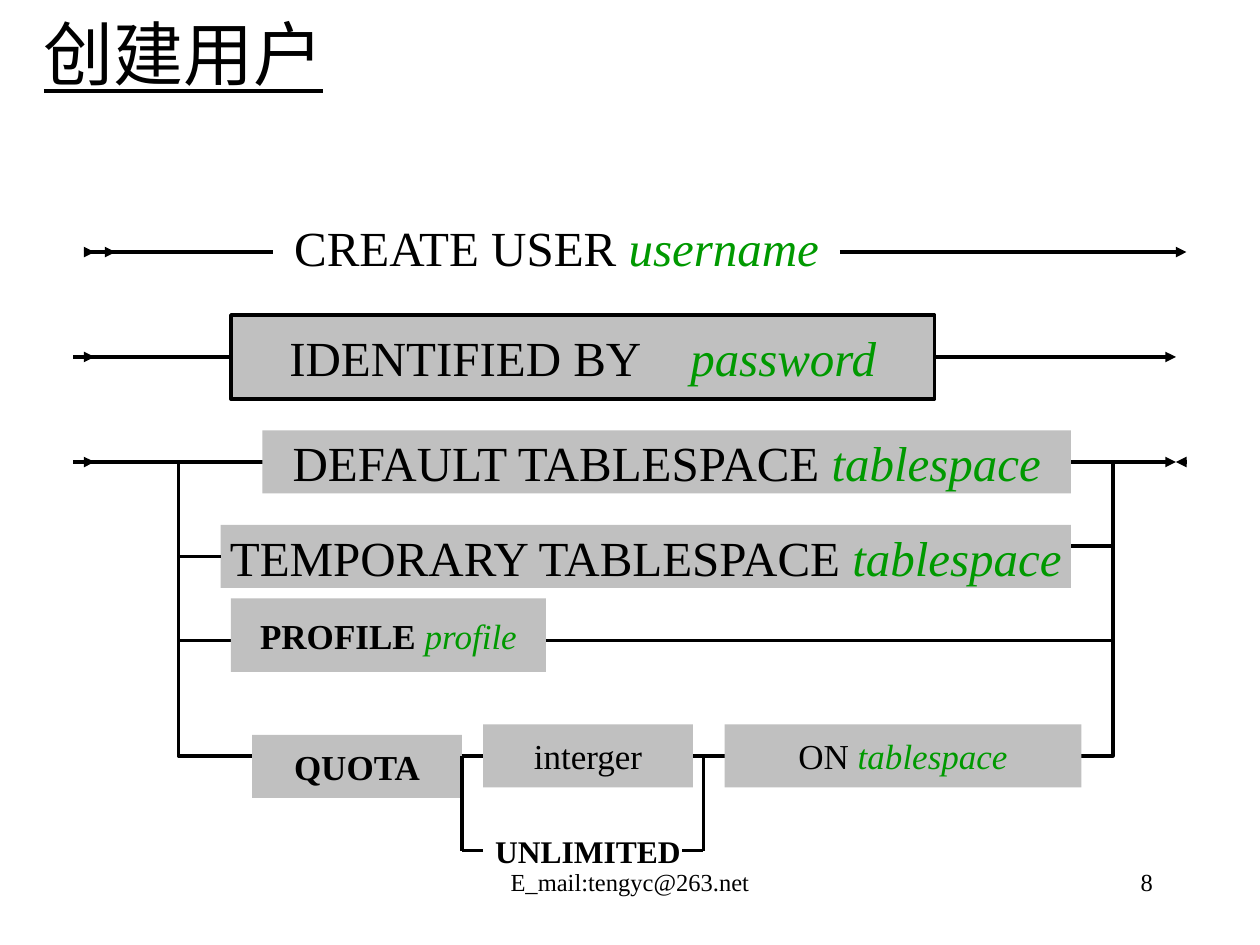
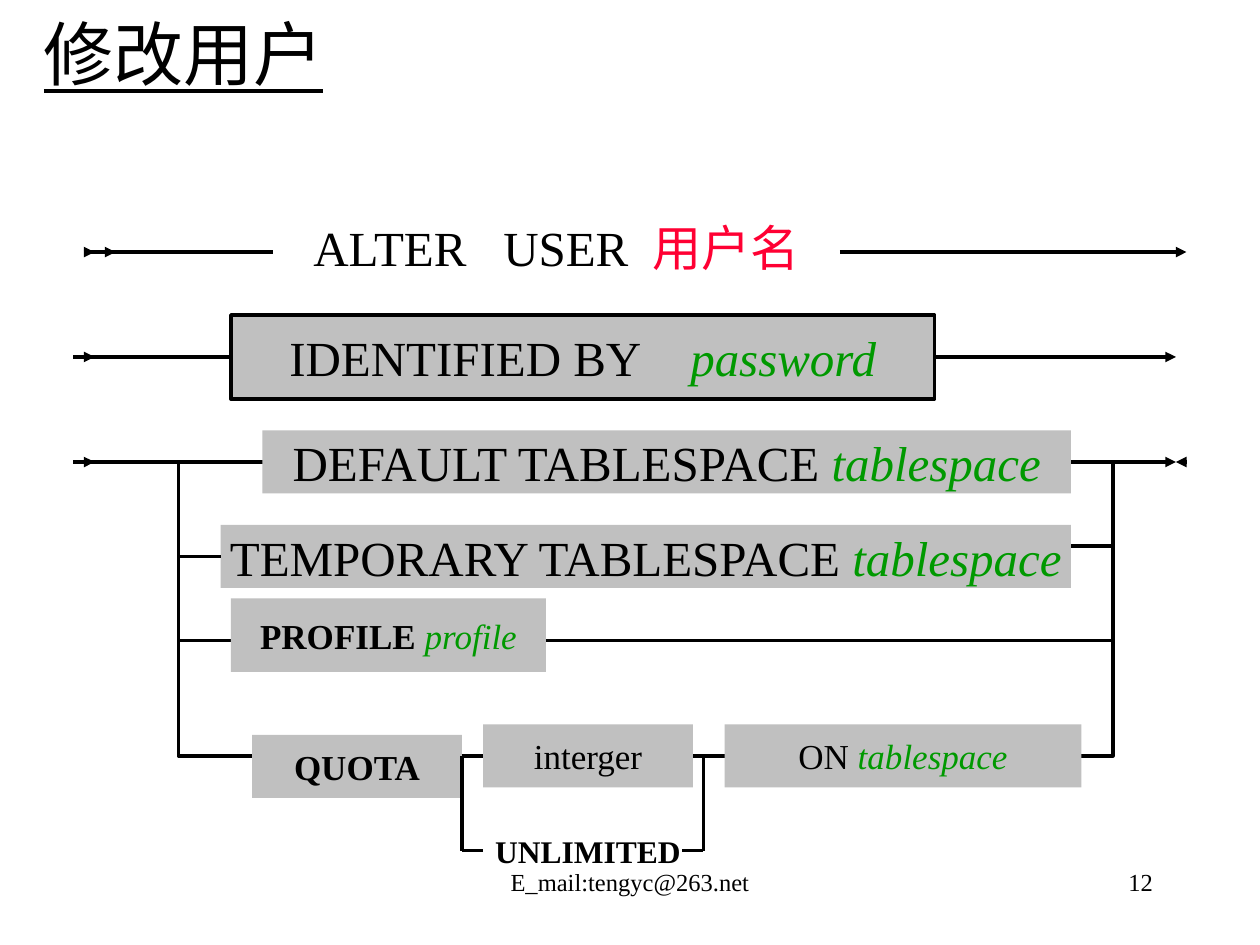
import pptx
import pptx.util
import pptx.dml.color
import pptx.enum.shapes
import pptx.enum.text
import pptx.oxml.ns
import lxml.etree

hue = pptx.dml.color.RGBColor.from_string
align = pptx.enum.text.PP_ALIGN
rect = pptx.enum.shapes.MSO_SHAPE.RECTANGLE
straight = pptx.enum.shapes.MSO_CONNECTOR.STRAIGHT

deck = pptx.Presentation()
deck.slide_width = pptx.util.Inches(10)
deck.slide_height = pptx.util.Inches(7.5)
cell = deck.slide_width // 120  # grid of 120 columns by 90 rows
ink, grey = "000000", "C0C0C0"

# Run styles: colour, bold, italic, underline
looks = {
    "plain": (ink, False, False, False),
    "bold": (ink, True, False, False),
    "term": ("009900", False, True, False),
    "name": ("FF0033", False, False, False),
    "head": (ink, False, False, True),
}


def write(shape, size, runs, side=align.CENTER, wrap=False):
    """Fill a shape with runs of (text, look, extra points after each letter)."""
    frame = shape.text_frame
    frame.word_wrap = wrap
    frame.auto_size = pptx.enum.text.MSO_AUTO_SIZE.NONE
    frame.vertical_anchor = pptx.enum.text.MSO_ANCHOR.MIDDLE
    para = frame.paragraphs[0]
    para.alignment = side
    for text, look, gap in runs:
        run = para.add_run()
        run.text = text
        font = run.font
        font.name, font.size = "Times New Roman", pptx.util.Pt(size)
        tint, font.bold, font.italic, font.underline = looks[look]
        font.color.rgb = hue(tint)
        if gap:
            font._element.set("spc", str(gap * 100))


def link(slide, ends, arrow=False):
    """Draw a line between grid points, with or without an arrowhead."""
    line = slide.shapes.add_connector(straight, *[n * cell for n in ends])
    line.line.color.rgb = hue(ink)
    line.line.width = pptx.util.Pt(2)
    if arrow:
        tip = lxml.etree.SubElement(line.line._get_or_add_ln(), pptx.oxml.ns.qn("a:tailEnd"))
        tip.set("type", "triangle")
    lxml.etree.SubElement(line._element.spPr, pptx.oxml.ns.qn("a:effectLst"))
    return line


# Rails: from column, to column, row, arrow
rails = [
    (80, 113, 24, True), (8, 26, 24, False), (8, 9, 24, True), (10, 11, 24, True),
    (7, 112, 34, True), (8, 9, 34, True),
    (7, 112, 44, True), (8, 9, 44, True), (113, 112, 44, True),
    (91, 106, 52, False),
]
# Loops around the options: top row, height
loops = [(44, 17), (61, 11)]
# Clauses: left, top, width, height, size, fill, border, runs
clauses = {
    "ident": (22, 30, 67, 8, 28, grey, True,
              [("IDENTIFIED BY", "plain", 0), (" ", "plain", 21), ("password", "term", 0)]),
    "default": (25, 41, 77, 6, 28, grey, False,
                [("DEFAULT TABLESPACE ", "plain", 0), ("tablespace", "term", 0)]),
    "temp": (21, 50, 81, 6, 28, grey, False,
             [("TEMPORARY TABLESPACE ", "plain", 0), ("tablespace", "term", 0)]),
    "profile": (22, 57, 30, 7, 20, grey, False,
                [("PROFILE ", "bold", 0), ("profile", "term", 0)]),
    "quota": (24, 70, 20, 6, 20, grey, False, [("QUOTA", "bold", 0)]),
    "on": (69, 69, 34, 6, 20, grey, False,
           [("ON ", "plain", 0), ("tablespace", "term", 0)]),
    "number": (46, 69, 20, 6, 20, grey, False, [("interger", "plain", 0)]),
    "no cap": (46, 78, 20, 6, 18, None, False, [("UNLIMITED", "bold", 0)]),
}
# Branches: start and end points, clause joined on its left side
branches = [
    ((17, 53, 21, 53), "temp"), ((44, 81, 46, 81), "no cap"),
    ((44, 72, 44, 81), None), ((67, 72, 67, 81), None), ((65, 81, 67, 81), None),
]
# Slides: title, page number, first line of the statement
pages = [
    ("创建用户", "8", [("CREATE USER ", "plain", 0), ("username", "term", 0)]),
    ("修改用户", "12", [("ALTER", "plain", 0), (" ", "plain", 14), ("USER", "plain", 0),
                    (" ", "plain", 7), ("用户名", "name", 0)]),
]

for title, page, start in pages:
    slide = deck.slides.add_slide(deck.slide_layouts[5])
    slide.background.fill.solid()
    slide.background.fill.fore_color.rgb = hue("FFFFFF")

    # Title
    head = slide.shapes.title
    head.left, head.top, head.width, head.height = [n * cell for n in (2, 2, 31, 6)]
    write(head, 40, [(title, "head", 0)])

    # Statement line and footer
    for spot, size, runs, side, wrap in [
        ((18, 21, 70, 5), 28, start, align.CENTER, False),
        ((41, 81, 38, 6), 14, [("E_mail:tengyc@263.net", "plain", 0)], align.CENTER, True),
        ((86, 81, 25, 6), 14, [(page, "plain", 0)], align.RIGHT, True),
    ]:
        write(slide.shapes.add_textbox(*[n * cell for n in spot]), size, runs, side, wrap)

    # Rails and loops lie behind the clauses
    for left, right, row, arrow in rails:
        link(slide, (left, row, right, row), arrow)
    for top, tall in loops:
        loop = slide.shapes.add_shape(rect, *[n * cell for n in (17, top, 89, tall)])
        loop.shadow.inherit = False
        loop.fill.background()
        loop.line.color.rgb = hue(ink)
        loop.line.width = pptx.util.Pt(2)

    # Clauses
    boxes = {}
    for key, (left, top, wide, tall, size, fill, edge, runs) in clauses.items():
        spot = [n * cell for n in (left, top, wide, tall)]
        if fill:
            box = slide.shapes.add_shape(rect, *spot)
            box.shadow.inherit = False
            box.fill.solid()
            box.fill.fore_color.rgb = hue(fill)
            if edge:
                box.line.color.rgb = hue(ink)
                box.line.width = pptx.util.Pt(2)
            else:
                box.line.fill.background()
        else:
            box = slide.shapes.add_textbox(*spot)
        write(box, size, runs)
        boxes[key] = box

    # Branches
    for ends, key in branches:
        line = link(slide, ends)
        if key:
            line.end_connect(boxes[key], 1)

deck.save("out.pptx")
